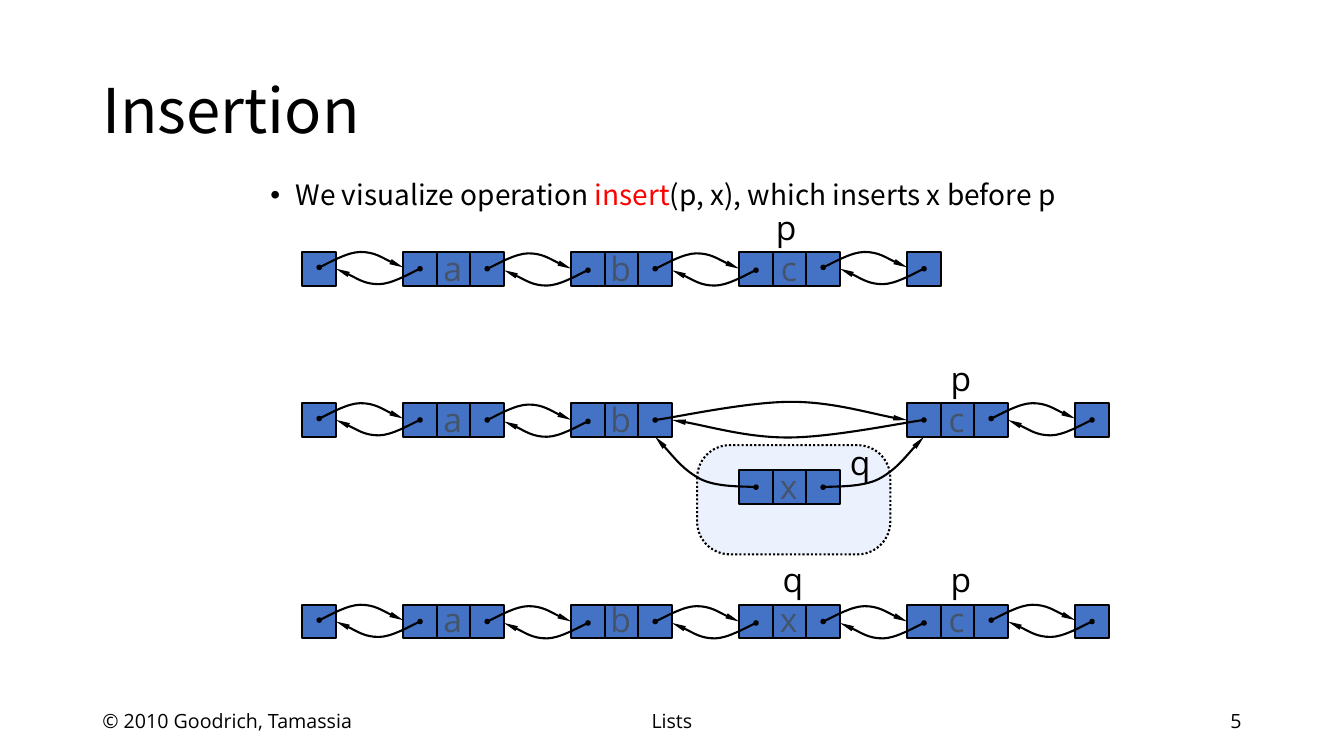
"""Build a slide that shows insertion into a doubly linked list."""
from lxml import etree
from pptx import Presentation
from pptx.dml.color import RGBColor
from pptx.enum.dml import MSO_LINE
from pptx.enum.shapes import MSO_SHAPE
from pptx.enum.text import MSO_ANCHOR, PP_ALIGN
from pptx.oxml.ns import qn
from pptx.util import Pt

RECT, ROUND = MSO_SHAPE.RECTANGLE, MSO_SHAPE.ROUNDED_RECTANGLE
LEFT, MID, RIGHT = PP_ALIGN.LEFT, PP_ALIGN.CENTER, PP_ALIGN.RIGHT
TOP, CENTER = MSO_ANCHOR.TOP, MSO_ANCHOR.MIDDLE
DOTS = MSO_LINE.ROUND_DOT
COLORS = {"ink": "000000", "cell": "4472C4", "panel": "ECF1FE",
          "name": "44546A", "key": "FF0000"}
HEAD, BODY = "Noto Sans CJK KR", "Open Sans"
CELL, STEP = 24, 120
ARC = [(.08, .18), (.34, 1), (.49, 1), (.66, 1), (.9, .18), (1, 0)]
WIDE = [(.09, .17), (.37, 1), (.54, 1), (.7, 1), (.9, .18), (1, 0)]
HOOK = [(.09, .02), (.39, 0), (.55, .16), (.72, .34), (.91, .82), (1, 1)]


def color(name):
    """Return the named colour."""
    return RGBColor.from_string(COLORS[name])


def style(run, size, font=BODY, ink="ink"):
    """Set the font of a run."""
    run.font.size, run.font.name = Pt(size), font
    run.font.color.rgb = color(ink)


def text(slide, box, words, size, font=BODY, ink="ink", align=LEFT,
         anchor=TOP, wrap=True):
    """Place text in a box and return its paragraph."""
    frame = slide.shapes.add_textbox(*map(Pt, box)).text_frame
    frame.word_wrap, frame.vertical_anchor = wrap, anchor
    frame.text = words
    para = frame.paragraphs[0]
    para.alignment = align
    style(para.runs[0], size, font, ink)
    return para


def outline(shape):
    """Give a shape its line and no shadow."""
    shape.shadow.inherit = False
    shape.line.color.rgb, shape.line.width = color("ink"), Pt(1.5)


def block(slide, box, kind=RECT, fill="cell"):
    """Draw an outlined shape."""
    shape = slide.shapes.add_shape(kind, *map(Pt, box))
    outline(shape)
    shape.fill.solid()
    shape.fill.fore_color.rgb = color(fill)
    return shape


def bend(shape):
    """Turn each three straight segments into one cubic curve."""
    lines = list(shape._element.iter(qn("a:lnTo")))
    for first in range(0, len(lines), 3):
        cubic = etree.Element(qn("a:cubicBezTo"))
        lines[first].addprevious(cubic)
        for line in lines[first:first + 3]:
            cubic.append(line[0])
            line.getparent().remove(line)


def link(slide, x, y, span, rise, form=ARC):
    """Draw a curved pointer with a dot at its start."""
    maker = slide.shapes.build_freeform(Pt(x), Pt(y))
    maker.add_line_segments([(Pt(x + span * u), Pt(y + rise * v))
                             for u, v in form], close=False)
    shape = maker.convert_to_shape()
    bend(shape)
    outline(shape)
    shape.fill.background()
    line = shape.line._get_or_add_ln()
    for tag, kind, size in (("a:headEnd", "oval", "sm"),
                            ("a:tailEnd", "triangle", "lg")):
        etree.SubElement(line, qn(tag), type=kind, w="sm", len=size)


def label(slide, x, y, word, ink="ink"):
    """Centre a letter at x."""
    text(slide, (x - 14.4, y, 28.8, 36), word, 24, ink=ink, align=MID, wrap=False)


def node(slide, x, y, count=3):
    """Draw the cells of a node."""
    for part in range(count):
        block(slide, (x + CELL * part, y, CELL, CELL))


def chain(slide, x, y, names, marks, rise=6.5, shift=2.4):
    """Draw a linked list; an empty name leaves a gap."""
    last = len(names)
    start = x + 3 * CELL
    node(slide, x, y, 1)
    node(slide, start + STEP * last, y, 1)
    for spot, name in enumerate(names):
        if name:
            node(slide, start + STEP * spot, y)
    ends = ["head", *names, "tail"]
    for spot, pair in enumerate(zip(ends, ends[1:])):
        if all(pair):
            left = x + STEP * spot
            lift = 1 if spot in (0, last) else 0
            link(slide, left + 12, y + 12 - lift, 60, -11)
            link(slide, left + 84, y + 13 - lift, -60, 11)
    for spot, name in enumerate(names):
        mid = start + STEP * spot + 1.5 * CELL
        if name:
            label(slide, mid - .6, y - rise, name, "name")
        if spot in marks:
            label(slide, mid + shift, y - 36, marks[spot])


def insert(slide, x, y):
    """Draw the new node and its pointers around a gap."""
    node(slide, x, y)
    label(slide, x + 35.4, y - 7, "x", "name")
    link(slide, x - 60, y - 36, 180, -13, WIDE)
    link(slide, x + 132, y - 36, -180, 12.5, WIDE)
    link(slide, x + 12, y + 12, -72, -36, HOOK)
    link(slide, x + 60, y + 12, 72, -36, HOOK)
    label(slide, x + 86.4, y - 24, "q")


def intro(slide, x, y, w):
    """Write the title and the bullet."""
    title = text(slide, (x, y, w, 104.4), "Insertion", 44, HEAD, anchor=CENTER)
    title.line_spacing = .9
    para = text(slide, (x + 120, y + 97.2, 618, 48),
                "We visualize operation ", 20, HEAD)
    para.line_spacing, para.space_before = .9, Pt(10)
    for words, ink in (("insert", "key"), ("(p, x), which inserts x before p", "ink")):
        run = para.add_run()
        run.text = words
        style(run, 20, HEAD, ink)
    props = para._p.get_or_add_pPr()
    props.set("marL", str(Pt(18)))
    props.set("indent", str(-Pt(18)))
    etree.SubElement(props, qn("a:buFont"), typeface="Arial")
    etree.SubElement(props, qn("a:buChar"), char="•")


def footer(slide, x, y, w):
    """Write the three footer texts."""
    for left, wide, words, align in (
            (x, 216, "© 2010 Goodrich, Tamassia", LEFT),
            (x + (w - 324) / 2, 324, "Lists", MID),
            (x + w - 216, 216, "5", RIGHT)):
        text(slide, (left, y, wide, 28.8), words, 14, align=align, anchor=CENTER)


def main():
    """Build and save the slide."""
    deck = Presentation()
    deck.slide_width, deck.slide_height = Pt(960), Pt(540)
    slide = deck.slides.add_slide(deck.slide_layouts[6])
    intro(slide, 66, 28.8, 828)
    panel = block(slide, (498, 318, 138, 78), ROUND, "panel")
    panel.adjustments[0] = .3
    panel.line.dash_style = DOTS
    chain(slide, 216, 180, ["a", "b", "c"], {2: "p"}, shift=-2.4)
    chain(slide, 216, 288, ["a", "b", "", "c"], {3: "p"})
    insert(slide, 528, 336)
    chain(slide, 216, 432, ["a", "b", "x", "c"], {2: "q", 3: "p"}, rise=8)
    footer(slide, 66, 500.4, 828)
    deck.save("out.pptx")


main()
